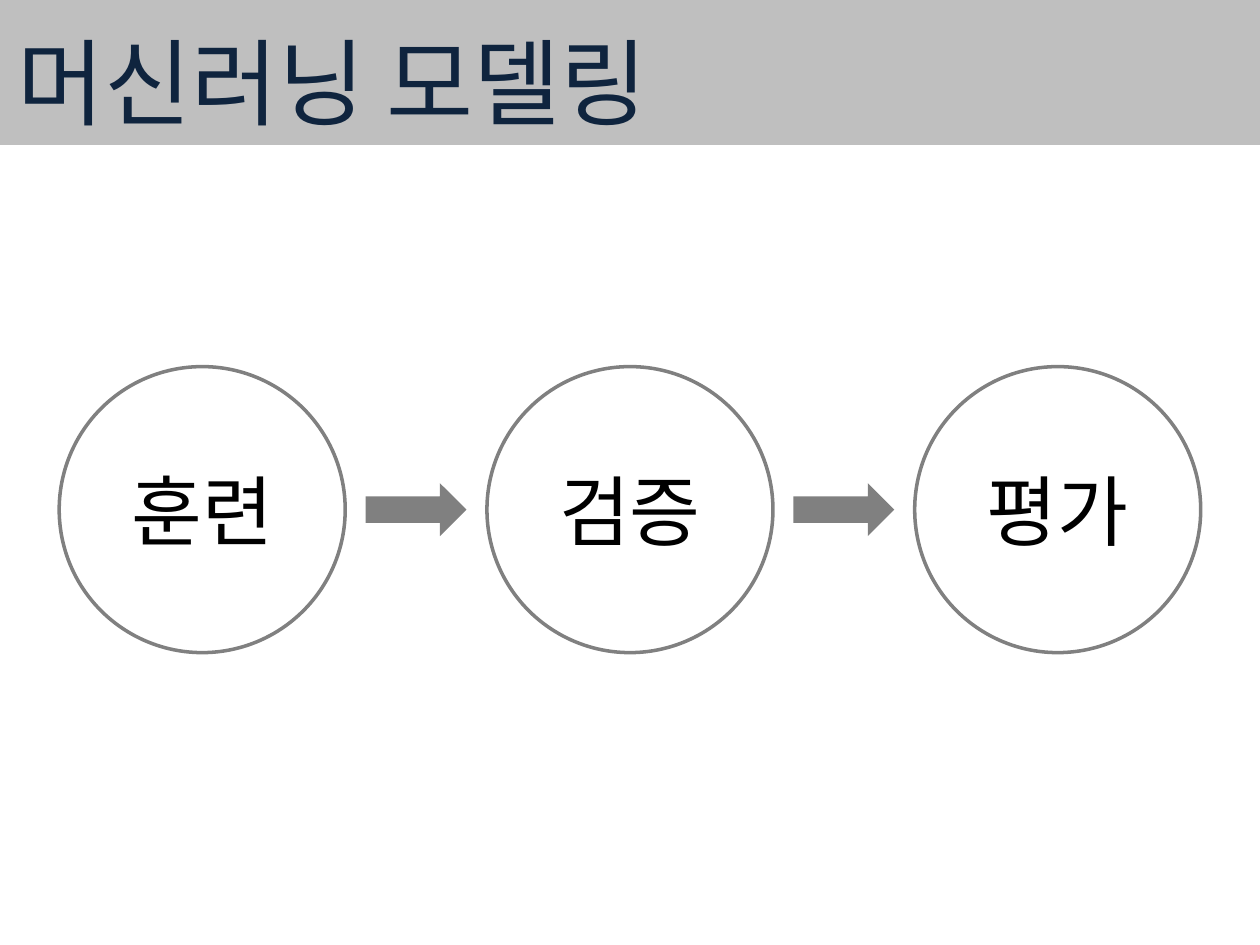
from lxml import etree
from pptx import Presentation
from pptx.dml.color import RGBColor
from pptx.enum import shapes, text
from pptx.oxml.ns import qn
from pptx.util import Inches, Pt

FONT = "Noto Sans CJK KR"
STEPS = ["훈련", "검증", "평가"]


def rgb(value):
    """Turn a hex string into a colour."""
    return RGBColor.from_string(value)


def write(shape, wording, size, color, align, frame_format):
    """Put one formatted line of text into a shape."""
    frame = shape.text_frame
    for name, value in frame_format.items():
        setattr(frame, name, value)
    paragraph = frame.paragraphs[0]
    paragraph.alignment = align
    run = paragraph.add_run()
    run.text = wording
    for name, value in {"name": FONT, "size": Pt(size), "bold": False}.items():
        setattr(run.font, name, value)
    run.font.color.rgb = rgb(color)
    etree.SubElement(run.font._element, qn("a:ea"), typeface=FONT)


def add_figure(slide, kind, left, top, width, height, fill=None, line=None):
    """Add a flat preset shape measured in inches."""
    figure = slide.shapes.add_shape(kind, *map(Inches, (left, top, width, height)))
    figure.shadow.inherit = False
    if fill:
        figure.fill.solid()
        figure.fill.fore_color.rgb = rgb(fill)
    else:
        figure.fill.background()
    if line:
        figure.line.color.rgb = rgb(line)
        figure.line.width = Pt(2)
    else:
        figure.line.fill.background()
    return figure


def add_header(slide, left, top, width, height):
    """Place the grey band with the title over it."""
    band = add_figure(slide, shapes.MSO_SHAPE.RECTANGLE, left, top, width, height, fill="BFBFBF")
    title = slide.shapes.title
    title._element.addprevious(band._element)
    place = {"left": left + 0.04, "top": top + 0.14, "width": 5.77, "height": height - 0.14}
    for name, value in place.items():
        setattr(title, name, Inches(value))
    write(title, "머신러닝 모델링", 54, "0F243E", text.PP_ALIGN.LEFT, {
        "word_wrap": False,
        "auto_size": text.MSO_AUTO_SIZE.SHAPE_TO_FIT_TEXT,
        "vertical_anchor": text.MSO_ANCHOR.TOP,
    })


def add_process(slide, left, top, width, diameter):
    """Spread the step circles over a width and join them with block arrows."""
    arrow_width, arrow_height = 0.8, 0.42
    pitch = (width - diameter) / (len(STEPS) - 1)
    arrow_offset = (pitch + diameter - arrow_width) / 2
    arrow_top = top + (diameter - arrow_height) / 2
    for index, step in enumerate(STEPS):
        x = left + index * pitch
        circle = add_figure(slide, shapes.MSO_SHAPE.OVAL, x, top, diameter, diameter, line="808080")
        write(circle, step, 44, "000000", text.PP_ALIGN.CENTER,
              {"word_wrap": True, "vertical_anchor": text.MSO_ANCHOR.MIDDLE})
        if index < len(STEPS) - 1:
            add_figure(slide, shapes.MSO_SHAPE.RIGHT_ARROW, x + arrow_offset, arrow_top,
                       arrow_width, arrow_height, fill="808080")


def main():
    """Build and save the slide."""
    deck = Presentation()
    deck.slide_width, deck.slide_height = Inches(10), Inches(7.5)
    slide = deck.slides.add_slide(deck.slide_layouts[5])
    add_header(slide, 0, 0, 10, 1.15)
    add_process(slide, 0.47, 2.91, 9.06, 2.27)
    deck.save("out.pptx")


if __name__ == "__main__":
    main()
